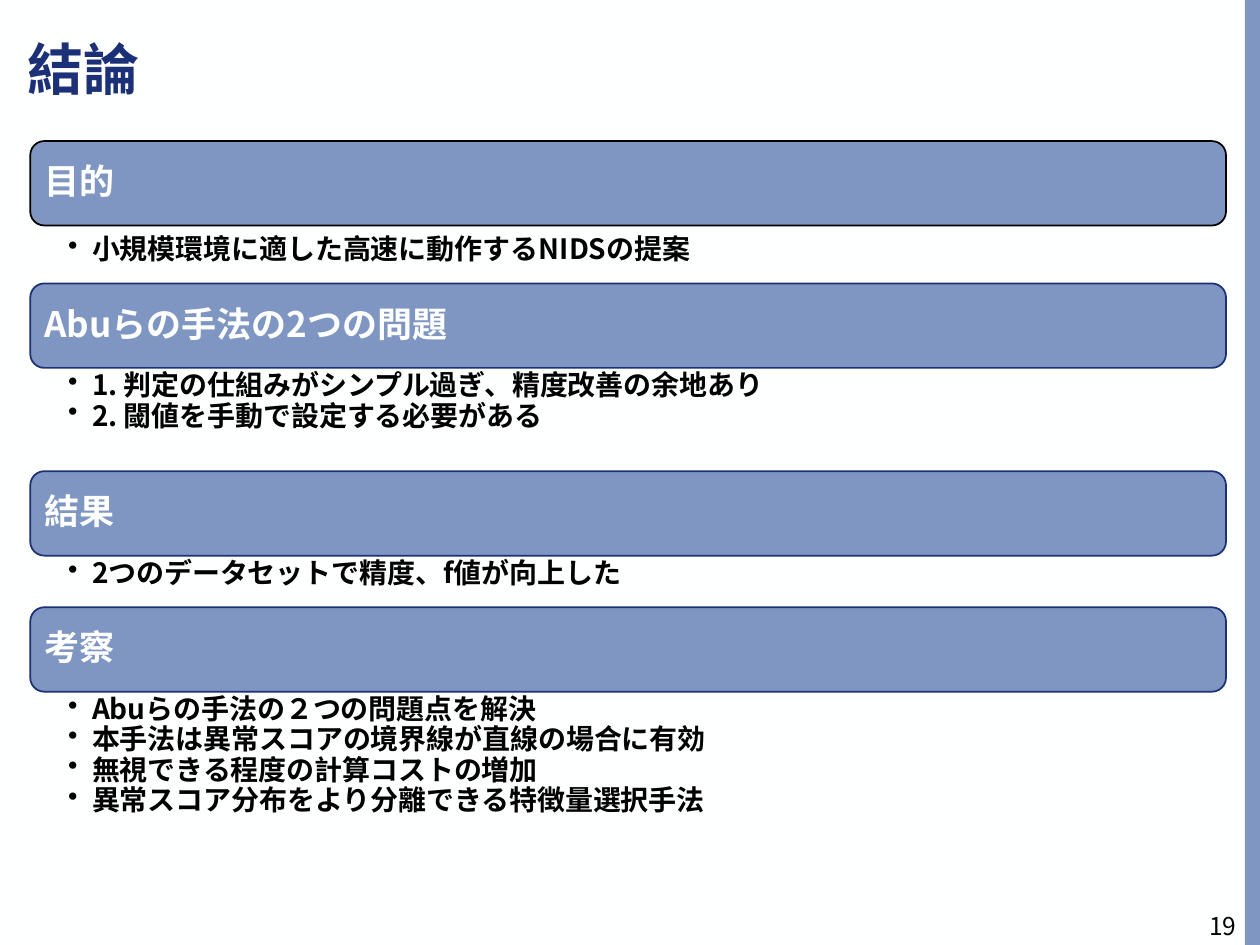
import pptx
import pptx.util
import pptx.dml.color
import pptx.enum.shapes
import pptx.enum.text
import pptx.oxml.ns
import lxml.etree

Inches = pptx.util.Inches
Pt = pptx.util.Pt
SHAPE = pptx.enum.shapes.MSO_SHAPE
ALIGN = pptx.enum.text.PP_ALIGN
ANCHOR = pptx.enum.text.MSO_ANCHOR
qn = pptx.oxml.ns.qn

THEME = {
    "font": "Noto Sans CJK JP",
    "paper": "FEFFFF", "band": "7F96C2", "navy": "1C3077", "ink": "000000",
    "title": 32, "heading": 20, "body": 16, "number": 14,
}

TITLE = "結論"
PAGE_NUMBER = "19"
SECTIONS = [
    {"heading": "目的", "outline": "ink", "gap": 0.05,
     "points": ["小規模環境に適した高速に動作するNIDSの提案"]},
    {"heading": "Abuらの手法の2つの問題", "outline": "navy", "gap": 0,
     "points": ["1. 判定の仕組みがシンプル過ぎ、精度改善の余地あり",
                "2. 閾値を手動で設定する必要がある"]},
    {"heading": "結果", "outline": "navy", "gap": 0,
     "points": ["2つのデータセットで精度、f値が向上した"]},
    {"heading": "考察", "outline": "navy", "gap": 0,
     "points": ["Abuらの手法の２つの問題点を解決",
                "本手法は異常スコアの境界線が直線の場合に有効",
                "無視できる程度の計算コストの増加",
                "異常スコア分布をより分離できる特徴量選択手法"]},
]

LEFT, TOP, WIDTH = 0.24, 1.12, 9.49
BAND_HEIGHT, POINT_HEIGHT, INSET = 0.67, 0.41, 0.03

TITLE_FRAME = {"vertical_anchor": ANCHOR.MIDDLE, "word_wrap": True,
               "auto_size": pptx.enum.text.MSO_AUTO_SIZE.NONE}
HEADING_FRAME = {"vertical_anchor": ANCHOR.MIDDLE, "word_wrap": True,
                 "margin_left": Inches(0.08), "margin_right": Inches(0.08),
                 "margin_top": Inches(0.08), "margin_bottom": Inches(0.08)}
POINTS_FRAME = {"vertical_anchor": ANCHOR.TOP, "word_wrap": True,
                "margin_left": Inches(0.3), "margin_right": Inches(0.16),
                "margin_top": Inches(0.03), "margin_bottom": Inches(0.03)}
NUMBER_FRAME = {"vertical_anchor": ANCHOR.MIDDLE, "word_wrap": True}

TIGHT = {"alignment": ALIGN.LEFT, "line_spacing": 0.9,
         "space_before": Pt(0), "space_after": Pt(0)}
POINT = {**TIGHT, "level": 1}
RIGHT = {"alignment": ALIGN.RIGHT}


def color(name):
    return pptx.dml.color.RGBColor.from_string(THEME[name])


def apply(target, values):
    for name, value in values.items():
        setattr(target, name, value)


def box(*lengths):
    return [Inches(length) for length in lengths]


def write(frame, lines, size, ink, bold, frame_format, line_format):
    apply(frame, frame_format)
    for index, line in enumerate(lines):
        paragraph = frame.add_paragraph() if index else frame.paragraphs[0]
        apply(paragraph, line_format)
        run = paragraph.add_run()
        run.text = line
        apply(run.font, {"name": THEME["font"], "size": Pt(THEME[size]), "bold": bold})
        run.font.color.rgb = color(ink)
        east_asian = lxml.etree.SubElement(run.font._element, qn("a:ea"))
        east_asian.set("typeface", THEME["font"])


def add_bullets(frame):
    for paragraph in frame.paragraphs:
        properties = paragraph._p.get_or_add_pPr()
        properties.set("marL", str(Inches(0.19)))
        properties.set("indent", str(-Inches(0.19)))
        lxml.etree.SubElement(properties, qn("a:buChar")).set("char", "•")


def add_filled(slide, preset, place, outline=None):
    shape = slide.shapes.add_shape(preset, *box(*place))
    shape.shadow.inherit = False
    shape.fill.solid()
    shape.fill.fore_color.rgb = color("band")
    if outline:
        shape.line.color.rgb = color(outline)
        shape.line.width = Pt(1)
    else:
        shape.line.fill.background()


def add_section(slide, section, top):
    add_filled(slide, SHAPE.ROUNDED_RECTANGLE, (LEFT, top, WIDTH, BAND_HEIGHT),
               section["outline"])
    heading = slide.shapes.add_textbox(*box(
        LEFT + INSET, top + INSET, WIDTH - 2 * INSET, BAND_HEIGHT - 2 * INSET))
    write(heading.text_frame, [section["heading"]], "heading", "paper", True,
          HEADING_FRAME, TIGHT)

    points_top = top + BAND_HEIGHT + section["gap"]
    points_height = POINT_HEIGHT * len(section["points"])
    points = slide.shapes.add_textbox(*box(LEFT, points_top, WIDTH, points_height))
    write(points.text_frame, section["points"], "body", "ink", True, POINTS_FRAME, POINT)
    add_bullets(points.text_frame)
    return points_top + points_height


def main():
    deck = pptx.Presentation()
    apply(deck, {"slide_width": Inches(10), "slide_height": Inches(7.5)})
    slide = deck.slides.add_slide(deck.slide_layouts[5])
    slide.background.fill.solid()
    slide.background.fill.fore_color.rgb = color("paper")

    add_filled(slide, SHAPE.RECTANGLE, (9.88, 0, 0.12, 7.5))

    title = slide.shapes.title
    apply(title, dict(zip(("left", "top", "width", "height"), box(0.12, 0.29, 7.38, 0.57))))
    write(title.text_frame, [TITLE], "title", "navy", True, TITLE_FRAME, TIGHT)

    top = TOP
    for section in SECTIONS:
        top = add_section(slide, section, top)

    number = slide.shapes.add_textbox(*box(9.42, 7.15, 0.49, 0.4))
    write(number.text_frame, [PAGE_NUMBER], "number", "ink", False, NUMBER_FRAME, RIGHT)

    deck.save("out.pptx")


if __name__ == "__main__":
    main()
